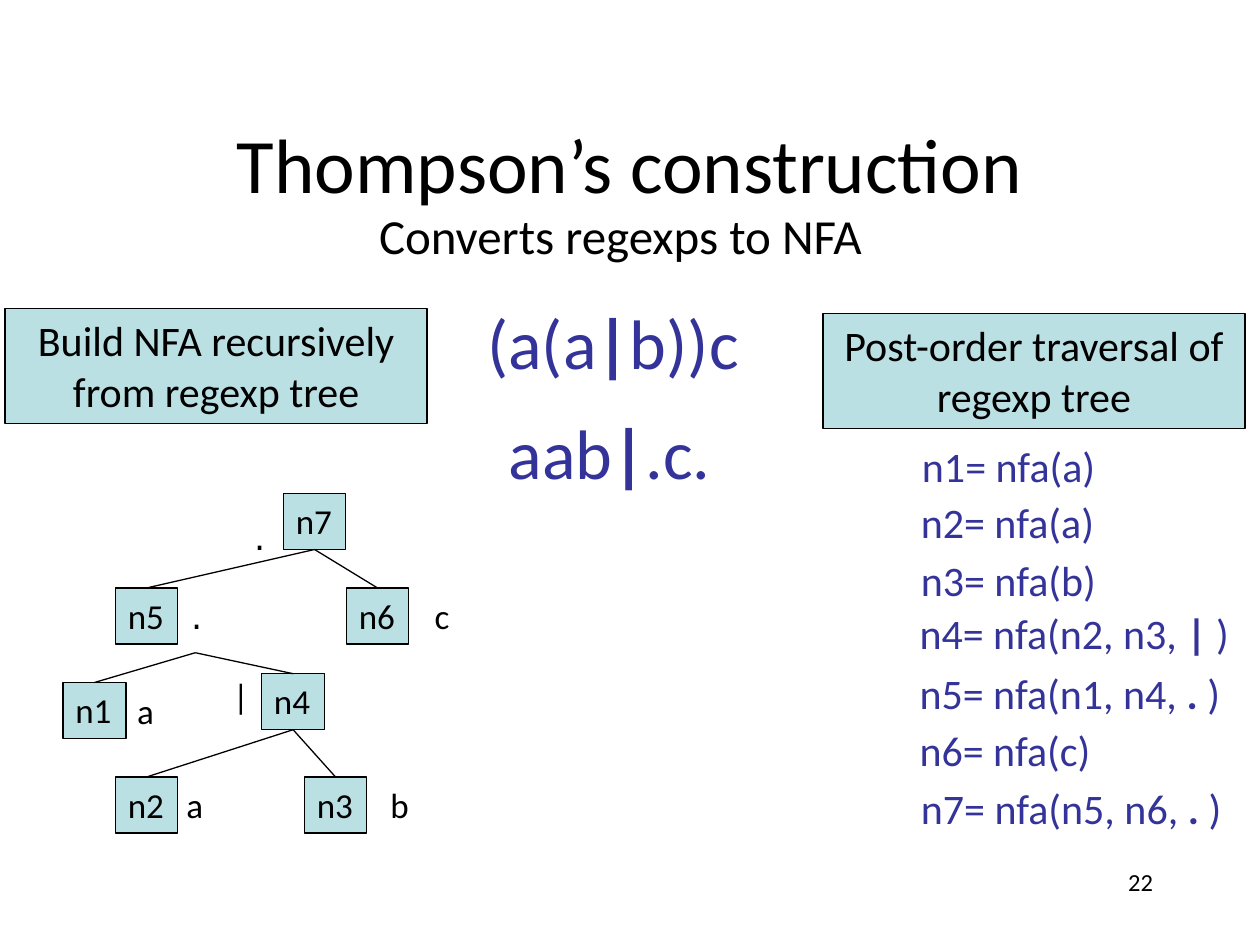
from dataclasses import dataclass
from pptx import Presentation
from pptx import util as u
from pptx.dml.color import RGBColor
from pptx.enum import shapes, text
from pptx.oxml.ns import qn
from lxml import etree

HUES = {"ink": "000000", "blue": "333399", "fill": "BBE0E3", "paper": "FFFFFF"}
FONT = "Calibri"
LEFT, MID, RIGHT = text.PP_ALIGN.LEFT, text.PP_ALIGN.CENTER, text.PP_ALIGN.RIGHT


@dataclass
class Label:
    words: str
    x: float
    y: float
    w: float
    h: float
    size: int = 20
    hue: str = "ink"
    align: int = LEFT


@dataclass
class Node:
    name: str
    x: float
    y: float
    w: float = 35.5


@dataclass
class Edge:
    top: str
    low: str


def tint(hue: str) -> RGBColor:
    return RGBColor.from_string(HUES[hue])


def write(shape, item: Label) -> None:
    frame = shape.text_frame
    frame.word_wrap = item.align != LEFT
    frame.vertical_anchor = text.MSO_ANCHOR.TOP
    para = frame.paragraphs[0]
    para.alignment = item.align
    for i, part in enumerate(item.words.split("*")):
        run = para.add_run()
        run.text = part
        run.font.name = FONT
        run.font.size = u.Pt(item.size)
        run.font.bold = i % 2 == 1
        run.font.color.rgb = tint(item.hue)


def place(item: Label) -> tuple:
    return tuple(u.Pt(n) for n in (item.x, item.y, item.w, item.h))


def draw_text(slide, item: Label):
    box = slide.shapes.add_textbox(*place(item))
    write(box, item)
    return box


def draw_box(slide, item: Label):
    box = slide.shapes.add_shape(shapes.MSO_SHAPE.RECTANGLE, *place(item))
    box.shadow.inherit = False
    box.fill.solid()
    box.fill.fore_color.rgb = tint("fill")
    box.line.color.rgb = tint("ink")
    box.line.width = u.Pt(0.75)
    write(box, item)
    return box


def draw_edge(slide, edge: Edge, boxes: dict) -> None:
    line = slide.shapes.add_connector(
        shapes.MSO_CONNECTOR.STRAIGHT, u.Pt(111.6), u.Pt(373), u.Pt(0), u.Pt(0))
    if edge.top in boxes:
        line.begin_connect(boxes[edge.top], 2)
    line.end_connect(boxes[edge.low], 0)
    line.line.color.rgb = tint("ink")
    line.line.width = u.Pt(0.75)
    etree.SubElement(line._element.spPr, qn("a:effectLst"))


TITLE = Label("Thompson’s construction", 54, 48.2, 612, 90, 44, align=MID)
HEADS = [
    Label("Converts regexps to NFA", 209.5, 113.8, 301.7, 41, 28),
    Label("(a(a*|*b))c", 271.4, 167.8, 162, 55.4, 40, "blue"),
    Label("aab*|*.c.", 283.7, 230.4, 131.8, 55.4, 40, "blue"),
    Label("22", 516.2, 491.8, 149.8, 36, 14, align=RIGHT),
]
PANELS = [
    Label("Build NFA recursively from regexp tree", 2.9, 176.4, 241.2, 65.5, 24, align=MID),
    Label("Post-order traversal of regexp tree", 470.2, 179.3, 241.2, 65.5, 24, align=MID),
]
STEPS = [
    ("n1= nfa(a)", 519.8, 248.4, 116),
    ("n2= nfa(a)", 519.1, 280.1, 116),
    ("n3= nfa(b)", 519.1, 313.2, 117.4),
    ("n4= nfa(n2, n3, *| *)", 518.4, 343.4, 194.4),
    ("n5= nfa(n1, n4, *. *)", 518.4, 378, 189.4),
    ("n6= nfa(c)", 518.4, 410.4, 116),
    ("n7= nfa(n5, n6, *. *)", 519.1, 443.5, 190),
]
MARKS = [
    ("⋅", 138.2, 296.6, 19.4),
    ("⋅", 102.2, 342, 19.4),
    ("c", 241.2, 336.2, 23),
    ("|", 126, 381.6, 23.8),
    ("a", 71.3, 390.2, 24.5),
    ("a", 99.4, 444.2, 24.5),
    ("b", 216, 444.2, 25.2),
]
NODES = [
    Node("n7", 162, 282),
    Node("n5", 66, 336),
    Node("n6", 198, 336),
    Node("n1", 36, 390, 36),
    Node("n4", 149.5, 385, 36),
    Node("n2", 66, 444),
    Node("n3", 174, 444),
]
EDGES = [Edge("n7", "n5"), Edge("n7", "n6"), Edge("fork", "n1"),
         Edge("fork", "n4"), Edge("n4", "n2"), Edge("n4", "n3")]


def main() -> None:
    deck = Presentation()
    deck.slide_width, deck.slide_height = u.Pt(720), u.Pt(540)
    slide = deck.slides.add_slide(deck.slide_layouts[6])
    slide.background.fill.solid()
    slide.background.fill.fore_color.rgb = tint("paper")
    title = draw_text(slide, TITLE)
    title.text_frame.vertical_anchor = text.MSO_ANCHOR.MIDDLE
    for item in HEADS:
        draw_text(slide, item)
    for item in PANELS:
        draw_box(slide, item)
    for words, x, y, w in STEPS:
        draw_text(slide, Label(words, x, y, w, 36, 24, "blue"))
    for words, x, y, w in MARKS:
        draw_text(slide, Label(words, x, y, w, 31.5))
    boxes = {n.name: draw_box(slide, Label(n.name, n.x, n.y, n.w, 32)) for n in NODES}
    for edge in EDGES:
        draw_edge(slide, edge, boxes)
    deck.save("out.pptx")


if __name__ == "__main__":
    main()
